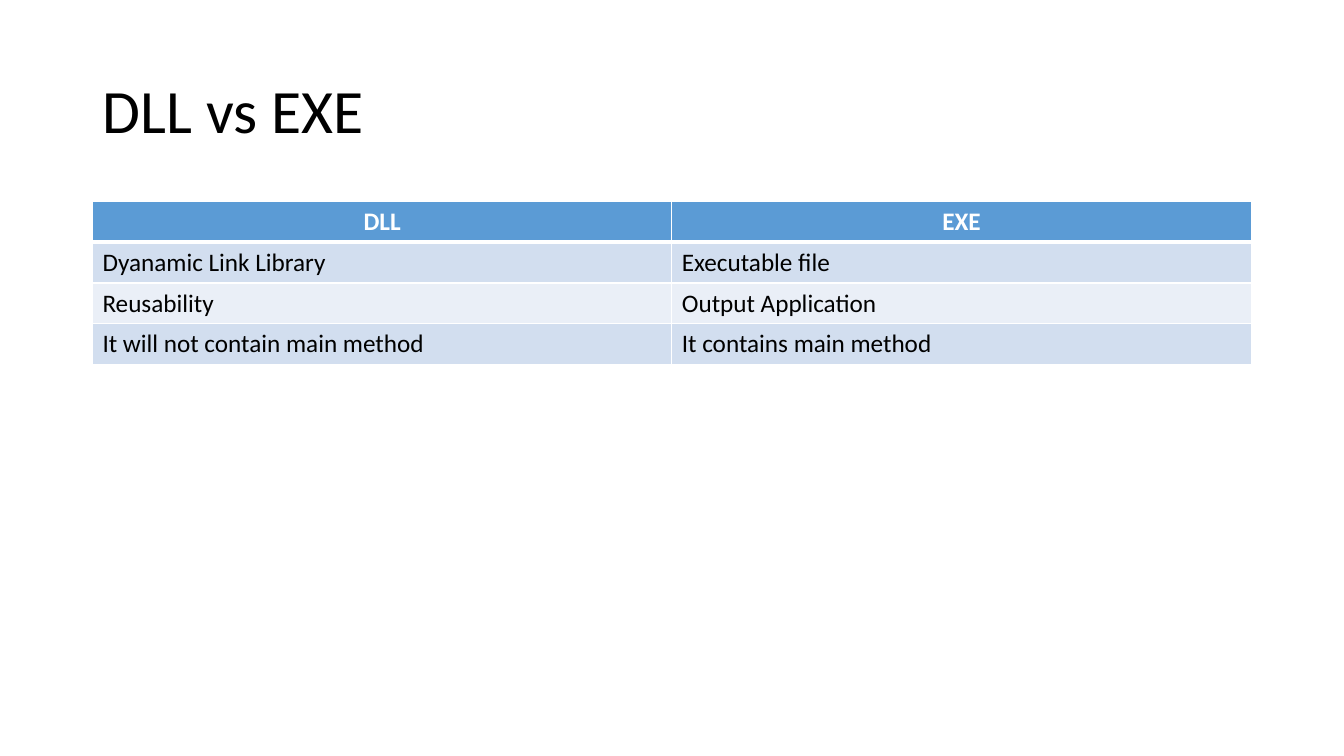
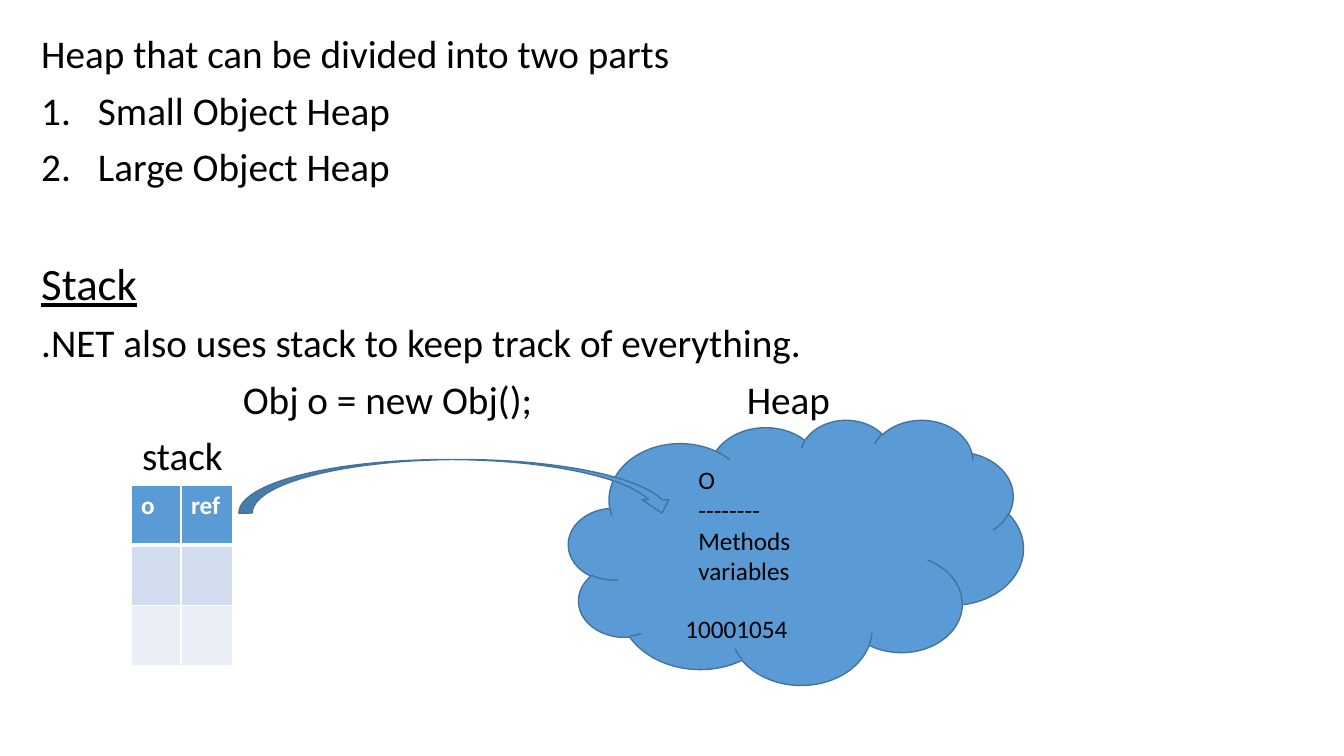
"""Build two slides: a DLL and EXE comparison, and the stack and heap."""
from dataclasses import dataclass
from typing import Optional

from lxml import etree
from pptx import Presentation
from pptx.dml.color import RGBColor
from pptx.enum.shapes import MSO_SHAPE
from pptx.enum.text import MSO_ANCHOR, PP_ALIGN
from pptx.oxml.ns import qn
from pptx.slide import Slide
from pptx.util import Cm, Pt

LEFT, CENTER = PP_ALIGN.LEFT, PP_ALIGN.CENTER
MIDDLE = MSO_ANCHOR.MIDDLE
CLOUD, CURVED_ARROW = MSO_SHAPE.CLOUD, MSO_SHAPE.CURVED_DOWN_ARROW
TITLE_ONLY, BLANK = 5, 6

FONT = "Calibri"
COLORS = {
    "text": "000000",
    "white": "FFFFFF",
    "accent": "5B9BD5",
    "outline": "43739E",
    "odd_row": "D2DEEF",
    "even_row": "EAEFF7",
}
LINE_SPACING = 0.9
THIN, THICK = 1, 3


@dataclass(frozen=True)
class Box:
    left: float
    top: float
    width: float
    height: float

    def lengths(self) -> tuple:
        return Cm(self.left), Cm(self.top), Cm(self.width), Cm(self.height)


@dataclass(frozen=True)
class Line:
    text: str
    size: float = 28
    underline: bool = False
    numbered: bool = False
    before: float = 10
    tabs: tuple = ()


@dataclass(frozen=True)
class Grid:
    left: float
    top: float
    columns: tuple
    row_height: float
    rows: tuple
    header_align: Optional[PP_ALIGN] = None


TITLE_BOX = Box(2.33, 1.01, 29.21, 3.68)
COMPARISON = Grid(2.33, 5.07, (14.6, 14.6), 1.03, (
    ("DLL", "EXE"),
    ("Dyanamic Link Library", "Executable file"),
    ("Reusability", "Output Application"),
    ("It will not contain main method", "It contains main method"),
), CENTER)

NOTES_BOX = Box(0.79, 0.76, 32.44, 18.01)
NOTES = (
    Line("Heap that can be divided into two parts", before=0),
    Line("Small Object Heap", numbered=True),
    Line("Large Object Heap", numbered=True),
    Line("Stack", size=32, underline=True, before=51),
    Line(".NET also uses stack to keep track of everything."),
    Line("\tObj o = new Obj();\tHeap", tabs=(5.08, 17.78)),
    Line("\tstack", tabs=(2.54,)),
)
STACK = Grid(3.3, 12.22, (1.26, 1.31), 1.52, (("o", "ref"), ("", ""), ("", "")))
HEAP_CLOUD = Box(14.33, 10.57, 11.46, 6.68)
REFERENCE_ARROW = Box(6.02, 11.58, 11, 1.35)
OBJECT_BOX = Box(17.35, 11.58, 3.56, 3.33)
OBJECT_LINES = tuple(
    Line(text, size=18, before=0) for text in ("O", "--------", "Methods", "variables")
)
ADDRESS_BOX = Box(17.02, 15.32, 3.56, 1.02)
ADDRESS_LINES = (Line("10001054", size=18, before=0),)


def rgb(color: str) -> RGBColor:
    return RGBColor.from_string(COLORS[color])


def add_run(paragraph, text: str, size: float, color: str = "text",
            bold: bool = False, underline: bool = False) -> None:
    run = paragraph.add_run()
    run.text = text
    font = run.font
    font.name, font.size, font.bold = FONT, Pt(size), bold
    font.underline = underline
    font.color.rgb = rgb(color)


def add_title(slide: Slide, text: str) -> None:
    title = slide.shapes.title
    title.left, title.top, title.width, title.height = TITLE_BOX.lengths()
    title.text_frame.vertical_anchor = MIDDLE
    paragraph = title.text_frame.paragraphs[0]
    paragraph.alignment = LEFT
    paragraph.line_spacing = LINE_SPACING
    add_run(paragraph, text, 44)


def format_list(paragraph, line: Line) -> None:
    properties = paragraph._p.get_or_add_pPr()
    if line.numbered:
        properties.set("marL", str(Cm(1.43)))
        properties.set("indent", str(-Cm(1.43)))
        etree.SubElement(properties, qn("a:buAutoNum"), type="arabicPeriod")
    if line.tabs:
        stops = etree.SubElement(properties, qn("a:tabLst"))
        for position in line.tabs:
            etree.SubElement(stops, qn("a:tab"), pos=str(Cm(position)), algn="l")


def add_text(slide: Slide, box: Box, lines: tuple, spacing: float = 1) -> None:
    frame = slide.shapes.add_textbox(*box.lengths()).text_frame
    frame.word_wrap = True
    for index, line in enumerate(lines):
        paragraph = frame.add_paragraph() if index else frame.paragraphs[0]
        format_list(paragraph, line)
        paragraph.line_spacing = spacing
        paragraph.space_before = Pt(line.before)
        add_run(paragraph, line.text, line.size, underline=line.underline)


def set_borders(cell, row: int) -> None:
    properties = cell._tc.get_or_add_tcPr()
    widths = {
        "L": THIN,
        "R": THIN,
        "T": THICK if row == 1 else THIN,
        "B": THICK if row == 0 else THIN,
    }
    for index, (side, width) in enumerate(widths.items()):
        border = etree.Element(qn(f"a:ln{side}"), w=str(Pt(width)))
        fill = etree.SubElement(border, qn("a:solidFill"))
        etree.SubElement(fill, qn("a:srgbClr"), val=COLORS["white"])
        properties.insert(index, border)


def add_grid(slide: Slide, grid: Grid) -> None:
    box = Box(grid.left, grid.top, sum(grid.columns), grid.row_height * len(grid.rows))
    table = slide.shapes.add_table(
        len(grid.rows), len(grid.columns), *box.lengths()).table
    for column, width in zip(table.columns, grid.columns):
        column.width = Cm(width)
    for row, texts in enumerate(grid.rows):
        table.rows[row].height = Cm(grid.row_height)
        header = row == 0
        fill = "accent" if header else "odd_row" if row % 2 else "even_row"
        for column, text in enumerate(texts):
            cell = table.cell(row, column)
            cell.fill.solid()
            cell.fill.fore_color.rgb = rgb(fill)
            set_borders(cell, row)
            if text:
                paragraph = cell.text_frame.paragraphs[0]
                paragraph.alignment = grid.header_align if header else None
                add_run(paragraph, text, 18, "white" if header else "text", header)


def add_figure(slide: Slide, kind: MSO_SHAPE, box: Box) -> None:
    figure = slide.shapes.add_shape(kind, *box.lengths())
    figure.shadow.inherit = False
    figure.fill.solid()
    figure.fill.fore_color.rgb = rgb("accent")
    figure.line.color.rgb = rgb("outline")
    figure.line.width = Pt(1)


def build_comparison(slide: Slide) -> None:
    add_title(slide, "DLL vs EXE")
    add_grid(slide, COMPARISON)


def build_memory(slide: Slide) -> None:
    add_text(slide, NOTES_BOX, NOTES, LINE_SPACING)
    add_grid(slide, STACK)
    add_figure(slide, CLOUD, HEAP_CLOUD)
    add_text(slide, OBJECT_BOX, OBJECT_LINES)
    add_text(slide, ADDRESS_BOX, ADDRESS_LINES)
    add_figure(slide, CURVED_ARROW, REFERENCE_ARROW)


def main() -> None:
    deck = Presentation()
    deck.slide_width, deck.slide_height = Cm(33.87), Cm(19.05)
    for layout, build in ((TITLE_ONLY, build_comparison), (BLANK, build_memory)):
        build(deck.slides.add_slide(deck.slide_layouts[layout]))
    deck.save("out.pptx")


if __name__ == "__main__":
    main()
